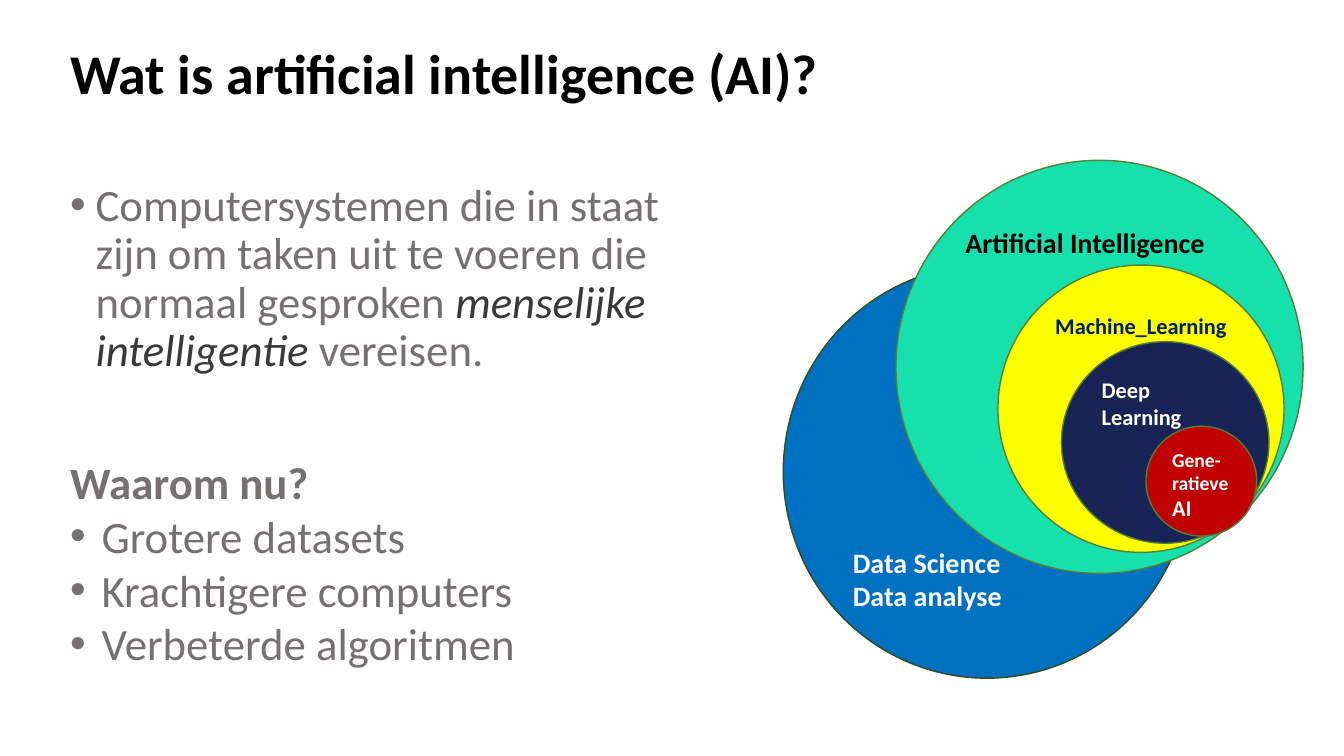
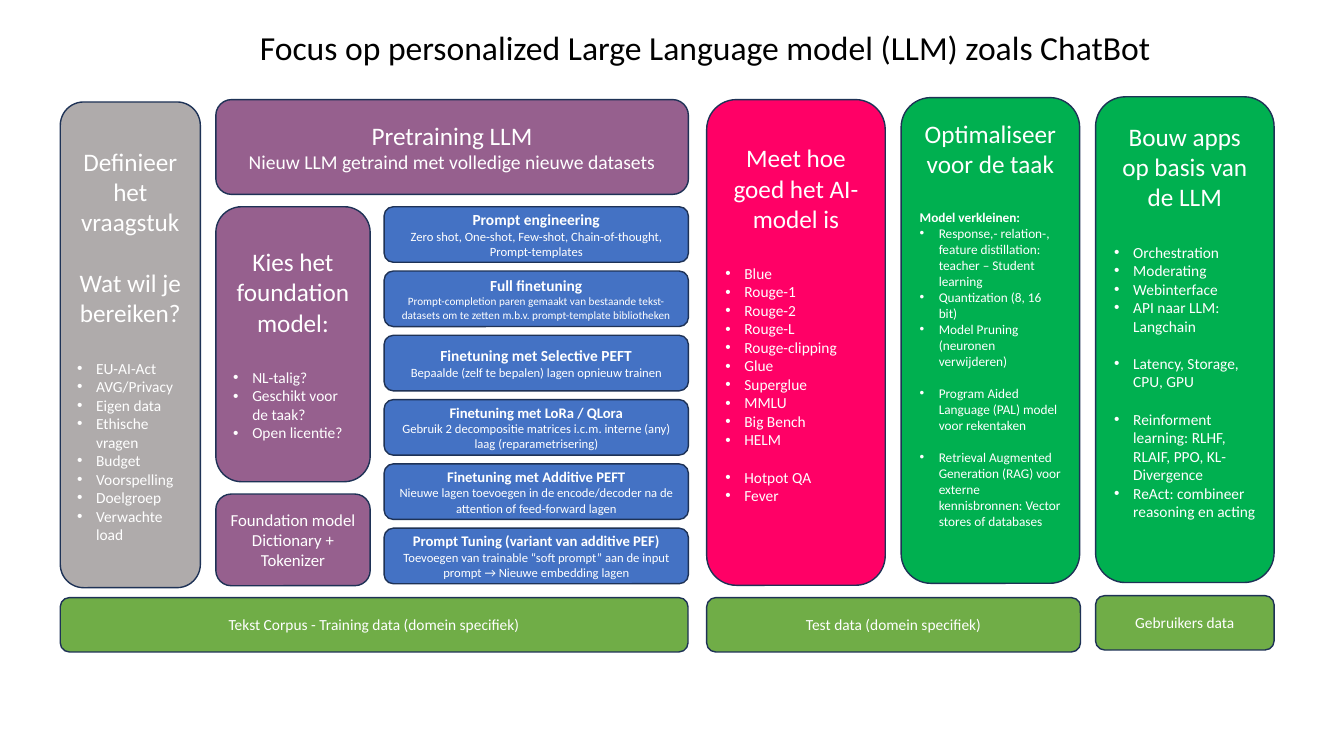
from dataclasses import dataclass
from typing import NamedTuple

from lxml import etree
from pptx import Presentation
from pptx.dml.color import RGBColor
from pptx.enum import shapes, text
from pptx.oxml import ns
from pptx.util import Cm, Pt

# Shared style
FONT = "Calibri"
BLACK, WHITE, GRAY, DARK_GRAY = "000000", "FFFFFF", "767171", "3B3838"
NAVY, GREEN_EDGE, PURPLE = "1E3256", "538035", "96608E"
BLUE, GREEN, LEAF = "4472C4", "00B050", "70AD47"
LEFT = text.PP_ALIGN.LEFT
CENTER = text.PP_ALIGN.CENTER
TOP = text.MSO_ANCHOR.TOP
MIDDLE = text.MSO_ANCHOR.MIDDLE
BOTTOM = text.MSO_ANCHOR.BOTTOM
OVAL = shapes.MSO_SHAPE.OVAL
ROUNDED = shapes.MSO_SHAPE.ROUNDED_RECTANGLE
HEADING_GAP = 22
ITEM_GAP = 13.4


class Run(NamedTuple):
    text: str
    size: float
    color: str = WHITE
    bold: bool = False
    italic: bool = False


@dataclass
class Line:
    runs: list[Run]
    align: text.PP_ALIGN = LEFT
    indent: float = 0  # hanging bullet indent in cm, 0 for no bullet
    before: float = 0
    spacing: float = 1.0


class Area(NamedTuple):
    left: float
    top: float
    width: float
    height: float


@dataclass
class Block:
    area: Area
    lines: list[Line]
    fill: str = ""
    edge: str = NAVY
    outline: shapes.MSO_SHAPE = ROUNDED
    anchor: text.MSO_ANCHOR = MIDDLE
    lift: float = 0  # extra bottom margin in points


def rgb(color: str) -> RGBColor:
    return RGBColor.from_string(color)


# Line builders
def plain(words: str, size: float, color: str = WHITE, bold: bool = False,
          align: text.PP_ALIGN = LEFT, before: float = 0) -> Line:
    return Line([Run(words, size, color, bold)], align, before=before)


def centered(words: str, size: float, bold: bool = False, before: float = 0) -> Line:
    return plain(words, size, bold=bold, align=CENTER, before=before)


def bullets(groups: list[list[str]], size: float = 11, first_gap: float = HEADING_GAP,
            gap: float = ITEM_GAP, indent: float = 0.48, color: str = WHITE) -> list[Line]:
    lines = []
    for group_index, group in enumerate(groups):
        for item_index, words in enumerate(group):
            opening = gap if group_index else first_gap
            before = 0 if item_index else opening
            lines.append(Line([Run(words, size, color)], indent=indent, before=before))
    return lines


# Drawing
def write_lines(shape, lines: list[Line], anchor: text.MSO_ANCHOR, lift: float = 0) -> None:
    frame = shape.text_frame
    settings = {"word_wrap": True, "vertical_anchor": anchor,
                "margin_left": Cm(0.25), "margin_right": Cm(0.25),
                "margin_top": Cm(0.13), "margin_bottom": Cm(0.13) + Pt(lift)}
    for name, value in settings.items():
        setattr(frame, name, value)
    for index, line in enumerate(lines):
        paragraph = frame.add_paragraph() if index else frame.paragraphs[0]
        if line.indent:
            properties = paragraph._p.get_or_add_pPr()
            properties.set("marL", str(Cm(line.indent)))
            properties.set("indent", str(-Cm(line.indent)))
            etree.SubElement(properties, ns.qn("a:buFont")).set("typeface", "Arial")
            etree.SubElement(properties, ns.qn("a:buChar")).set("char", "•")
        layout = {"alignment": line.align, "line_spacing": line.spacing,
                  "space_before": Pt(line.before)}
        for name, value in layout.items():
            setattr(paragraph, name, value)
        for part in line.runs:
            run = paragraph.add_run()
            run.text = part.text
            style = {"name": FONT, "size": Pt(part.size),
                     "bold": part.bold, "italic": part.italic}
            for name, value in style.items():
                setattr(run.font, name, value)
            run.font.color.rgb = rgb(part.color)


def draw(slide, block: Block) -> None:
    area = [Cm(length) for length in block.area]
    if block.fill:
        shape = slide.shapes.add_shape(block.outline, *area)
        shape.shadow.inherit = False
        shape.fill.solid()
        shape.fill.fore_color.rgb = rgb(block.fill)
        shape.line.color.rgb = rgb(block.edge)
        shape.line.width = Pt(1)
    else:
        shape = slide.shapes.add_textbox(*area)
    write_lines(shape, block.lines, block.anchor, block.lift)


# Slide 1: definition of AI
def circle(area: Area, fill: str, lines: list[Line], edge: str = GREEN_EDGE,
           anchor: text.MSO_ANCHOR = TOP) -> Block:
    return Block(area, lines, fill, edge, OVAL, anchor)


definition = Line([
    Run("Computersystemen die in staat zijn om taken uit te voeren die "
        "normaal gesproken ", 32, GRAY),
    Run("menselijke intelligentie ", 32, DARK_GRAY, italic=True),
    Run("vereisen.", 32, GRAY)], indent=0.64, spacing=0.9)
reasons = ["Grotere datasets", "Krachtigere computers", "Verbeterde algoritmen"]

AI_BLOCKS = [
    Block(Area(1.52, 0.69, 19.96, 2.46),
          [Line([Run("Wat is artificial intelligence (AI)?", 40, BLACK, True)],
                spacing=0.9)]),
    Block(Area(1.52, 4.47, 17.09, 6.5), [definition], anchor=TOP),
    circle(Area(19.74, 6.68, 10.26, 10.41), "0070C0",
           [plain("Data Science", 20, bold=True), plain("Data analyse", 20, bold=True)],
           "314C1F", BOTTOM),
    circle(Area(22.58, 4.04, 10.26, 10.41), "16E0AB",
           [plain("Artificial Intelligence", 20, BLACK, True)]),
    circle(Area(25.15, 6.68, 7.21, 7.24), "FFFF00",
           [plain("Machine_Learning", 16, "002060", True, CENTER)]),
    circle(Area(26.75, 8.61, 5.23, 5.08), "182456",
           [plain("Deep Learning", 16, bold=True)]),
    circle(Area(28.88, 10.74, 2.79, 2.77), "C00000",
           [plain("Gene-ratieve", 14, bold=True), plain("AI", 16, bold=True)]),
    Block(Area(1.52, 11.33, 14.48, 5.74),
          [plain("Waarom nu?", 32, GRAY, True),
           *bullets([reasons], 32, 0, indent=0.79, color=GRAY)], anchor=TOP),
]

# Slide 2: steps of an LLM project
COLUMN_WIDTH, COLUMN_HEIGHT, BAR_HEIGHT = 4.5, 12.24, 1.37
COLUMN_LEFTS = [17.81 + 4.9 * index for index in range(3)]
MODEL_LEFT, MODEL_WIDTH = 5.44, 3.89
TECHNIQUE_TOP, TECHNIQUE_STEP = 5.21, 1.62


class Technique(NamedTuple):
    title: str
    detail: str
    title_size: float = 11
    detail_size: float = 9


TECHNIQUES = [
    Technique("Prompt engineering",
              "Zero shot, One-shot, Few-shot, Chain-of-thought, Prompt-templates"),
    Technique("Full finetuning",
              "Prompt-completion paren gemaakt van bestaande tekst-datasets om te "
              "zetten m.b.v. prompt-template bibliotheken", detail_size=8),
    Technique("Finetuning met Selective PEFT",
              "Bepaalde (zelf te bepalen) lagen opnieuw trainen"),
    Technique("Finetuning met LoRa / QLora",
              "Gebruik 2 decompositie matrices i.c.m. interne (any) laag "
              "(reparametrisering)", 10.5),
    Technique("Finetuning met Additive PEFT",
              "Nieuwe lagen toevoegen in de encode/decoder na de attention of "
              "feed-forward lagen", 10.5),
    Technique("Prompt Tuning (variant van additive PEF)",
              "Toevoegen van trainable “soft prompt” aan de input prompt → "
              "Nieuwe embedding lagen", 10.5),
]


def technique_block(index: int, technique: Technique) -> Block:
    area = Area(9.68, TECHNIQUE_TOP + index * TECHNIQUE_STEP, 7.67, 1.4)
    return Block(area, [centered(technique.title, technique.title_size, True),
                        centered(technique.detail, technique.detail_size)], BLUE)


def column(index: int, top: float, fill: str, title: str, lines: list[Line],
           lift: float) -> Block:
    area = Area(COLUMN_LEFTS[index], top, COLUMN_WIDTH, COLUMN_HEIGHT)
    return Block(area, [centered(title, 18), *lines], fill, lift=lift)


def data_bar(left: float, top: float, width: float, words: str) -> Block:
    return Block(Area(left, top, width, BAR_HEIGHT), [centered(words, 11)], LEAF)


goals = [["EU-AI-Act", "AVG/Privacy", "Eigen data", "Ethische vragen", "Budget",
          "Voorspelling", "Doelgroep", "Verwachte load"]]
choices = [["NL-talig?", "Geschikt voor de taak?", "Open licentie?"]]
metrics = [["Blue", "Rouge-1", "Rouge-2", "Rouge-L", "Rouge-clipping", "Glue",
            "Superglue", "MMLU", "Big Bench", "HELM"], ["Hotpot QA", "Fever"]]
optimizations = [
    ["Response,- relation-, feature distillation: teacher – Student learning",
     "Quantization (8, 16 bit)", "Model Pruning (neuronen verwijderen)"],
    ["Program Aided Language (PAL) model voor rekentaken"],
    ["Retrieval Augmented Generation (RAG) voor externe kennisbronnen: "
     "Vector stores of databases"]]
app_topics = [
    ["Orchestration", "Moderating", "Webinterface", "API naar LLM: Langchain"],
    ["Latency, Storage, CPU, GPU"],
    ["Reinforment learning: RLHF, RLAIF, PPO, KL-Divergence",
     "ReAct: combineer reasoning en acting"]]

LLM_BLOCKS = [
    Block(Area(6.3, 0.56, 24, 1.27),
          [plain("Focus op personalized Large Language model (LLM) zoals ChatBot",
                 24, BLACK)], anchor=TOP),
    Block(Area(1.52, 2.57, 3.53, COLUMN_HEIGHT),
          [centered("Definieer het vraagstuk", 18),
           centered("Wat wil je bereiken?", 18, before=HEADING_GAP),
           *bullets(goals)], "AFABAB"),
    Block(Area(MODEL_LEFT, 2.51, 11.91, 2.39),
          [centered("Pretraining LLM", 18),
           centered("Nieuw LLM getraind met volledige nieuwe datasets", 14)], PURPLE),
    Block(Area(MODEL_LEFT, TECHNIQUE_TOP, MODEL_WIDTH, 6.93),
          [centered("Kies het foundation model:", 18), *bullets(choices)], PURPLE),
    Block(Area(MODEL_LEFT, 12.45, MODEL_WIDTH, 2.31),
          [centered("Foundation model Dictionary + Tokenizer", 12)], PURPLE),
    *[technique_block(index, technique) for index, technique in enumerate(TECHNIQUES)],
    column(0, 2.51, "FF0066", "Meet hoe goed het AI-model is", bullets(metrics),
           2 * ITEM_GAP),
    column(1, 2.46, GREEN, "Optimaliseer voor de taak",
           [plain("Model verkleinen:", 9.5, bold=True, before=HEADING_GAP),
            *bullets(optimizations, 9.5, 0, 11.6)], 24.4),
    column(2, 2.44, GREEN, "Bouw apps op basis van de LLM", bullets(app_topics),
           2 * ITEM_GAP),
    data_bar(1.52, 15.06, 15.82, "Tekst Corpus - Training data (domein specifiek)"),
    data_bar(COLUMN_LEFTS[0], 15.06, 9.42, "Test data (domein specifiek)"),
    data_bar(COLUMN_LEFTS[2], 15.01, COLUMN_WIDTH, "Gebruikers data"),
]


def main() -> None:
    presentation = Presentation()
    presentation.slide_width = Cm(33.87)
    presentation.slide_height = Cm(19.05)
    for blocks in (AI_BLOCKS, LLM_BLOCKS):
        slide = presentation.slides.add_slide(presentation.slide_layouts[6])
        for block in blocks:
            draw(slide, block)
    presentation.save("out.pptx")


if __name__ == "__main__":
    main()
